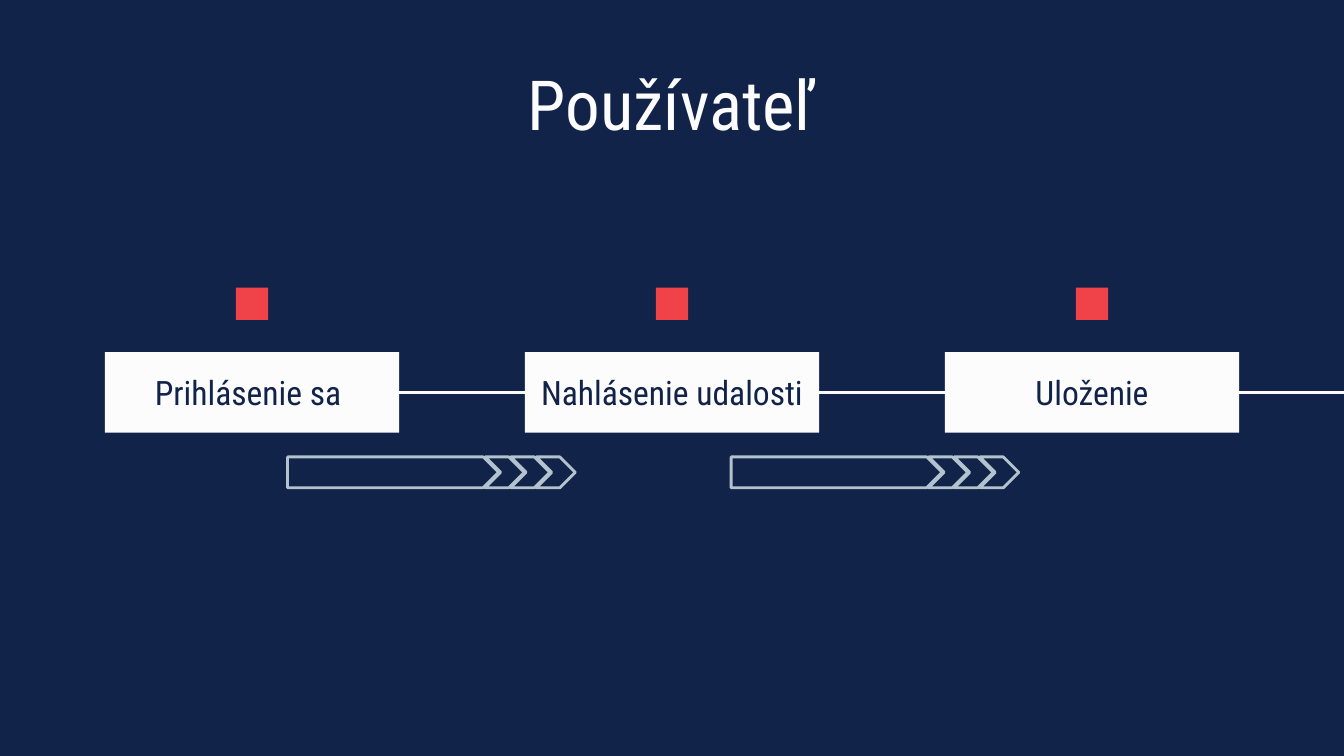
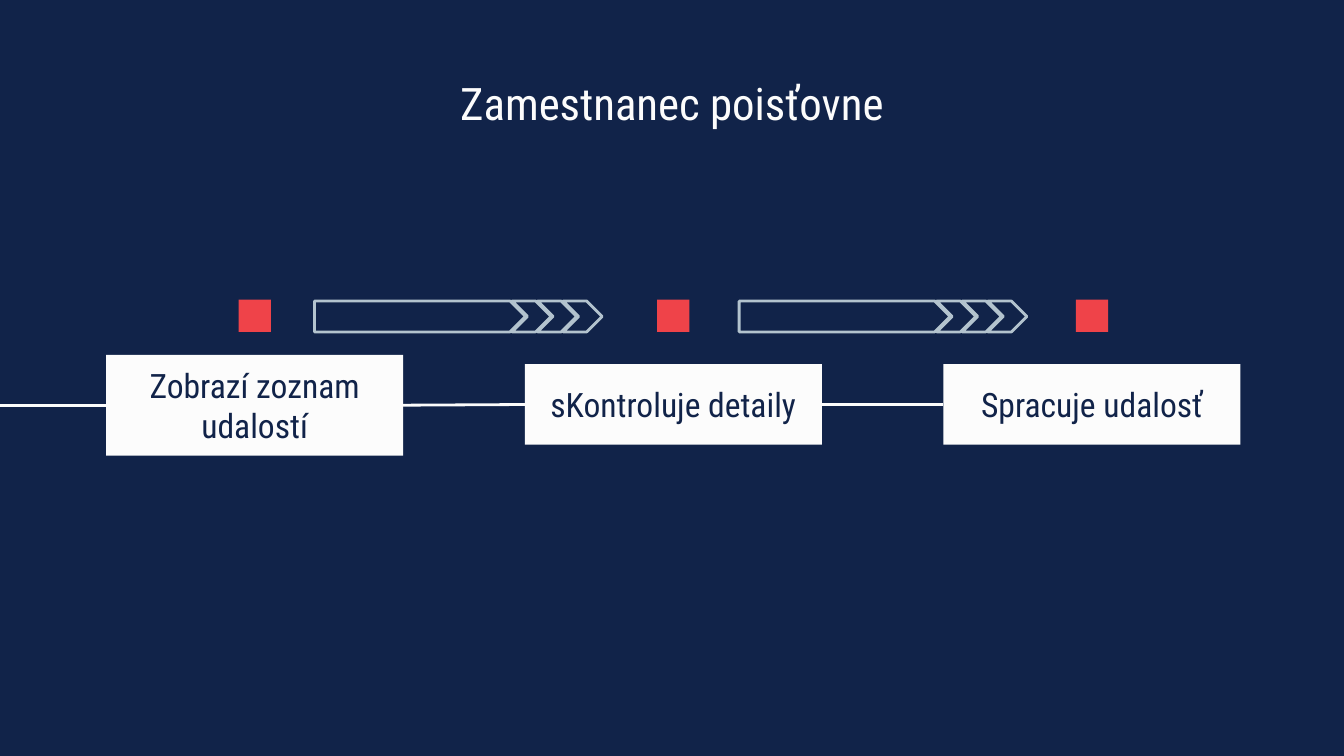
from dataclasses import dataclass

from lxml import etree
from pptx import Presentation
from pptx import util as u
from pptx.dml.color import RGBColor
from pptx.enum import shapes, text
from pptx.oxml.ns import qn


@dataclass(frozen=True)
class Theme:
    navy: RGBColor = RGBColor.from_string("112349")
    white: RGBColor = RGBColor.from_string("FCFCFC")
    red: RGBColor = RGBColor.from_string("EF4349")
    grey: RGBColor = RGBColor.from_string("B3C3CE")
    font: str = "Roboto Condensed"
    head: int = 37
    sub: int = 24
    body: int = 18
    line: float = 1.5


@dataclass(frozen=True)
class Step:
    label: str
    top: float
    height: float


@dataclass(frozen=True)
class Flow:
    title: str
    size: int
    title_top: float
    left: float
    last: float
    width: float
    mark_top: float
    steps: tuple[Step, ...]
    arrows: tuple[float, ...]
    arrow_top: float
    edge: float


THEME = Theme()
WIDE = 10
HIGH = WIDE * 9 / 16
MARK = 0.24
SHAPE = shapes.MSO_SHAPE

FLOWS = (
    Flow("Používateľ", THEME.head, 0.36, 0.78, 7.03, 2.19, 2.14,
         (Step("Prihlásenie sa ", 2.62, 0.6),
          Step("Nahlásenie udalosti", 2.62, 0.6),
          Step("Uloženie", 2.62, 0.6)),
         (2.14, 5.44), 3.4, WIDE),
    Flow("Zamestnanec poisťovne", THEME.sub, 0.46, 0.79, 7.02, 2.21, 2.23,
         (Step("Zobrazí zoznam udalostí", 2.64, 0.75),
          Step("sKontroluje detaily", 2.71, 0.6),
          Step("Spracuje udalosť", 2.71, 0.6)),
         (2.34, 5.5), 2.24, 0),
)


def write(shape, words: str, size: int, color: RGBColor, anchor) -> None:
    frame = shape.text_frame
    frame.word_wrap = True
    frame.vertical_anchor = anchor
    frame.margin_left = frame.margin_right = u.Inches(0.1)
    frame.margin_top = frame.margin_bottom = u.Inches(0.1)
    para = frame.paragraphs[0]
    para.alignment = text.PP_ALIGN.CENTER
    run = para.add_run()
    run.text = words
    run.font.name = THEME.font
    run.font.size = u.Pt(size)
    run.font.color.rgb = color


def draw(tree, kind, left: float, top: float, width: float, height: float,
         fill: RGBColor | None = None):
    shape = tree.add_shape(kind, u.Inches(left), u.Inches(top),
                           u.Inches(width), u.Inches(height))
    shape.shadow.inherit = False
    if fill is None:
        shape.fill.background()
        shape.line.color.rgb = THEME.grey
        shape.line.width = u.Pt(THEME.line)
    else:
        shape.fill.solid()
        shape.fill.fore_color.rgb = fill
        shape.line.fill.background()
    return shape


def link(slide, start, site: int, end=None, edge: float = 0) -> None:
    level = start.top + start.height // 2
    line = slide.shapes.add_connector(
        shapes.MSO_CONNECTOR.STRAIGHT, start.left, level, u.Inches(edge), level)
    line.begin_connect(start, site)
    if end is not None:
        line.end_connect(end, 1)
    line.line.color.rgb = THEME.white
    line.line.width = u.Pt(THEME.line)
    etree.SubElement(line._element.spPr, qn("a:effectLst"))


def arrow(slide, left: float, top: float) -> None:
    group = slide.shapes.add_group_shape().shapes
    draw(group, SHAPE.PENTAGON, left, top, 1.57, 0.23)
    for place in range(3):
        draw(group, SHAPE.CHEVRON, left + 1.47 + 0.19 * place, top, 0.29, 0.23)


def build(deck, flow: Flow) -> None:
    slide = deck.slides.add_slide(deck.slide_layouts[6])
    slide.background.fill.solid()
    slide.background.fill.fore_color.rgb = THEME.navy
    title = slide.shapes.add_textbox(u.Inches(1.5), u.Inches(flow.title_top),
                                     u.Inches(7), u.Inches(0.63))
    write(title, flow.title, flow.size, THEME.white, text.MSO_ANCHOR.TOP)

    pitch = (flow.last - flow.left) / (len(flow.steps) - 1)
    boxes = []
    for place, step in enumerate(flow.steps):
        left = flow.left + place * pitch
        box = draw(slide.shapes, SHAPE.RECTANGLE, left, step.top,
                   flow.width, step.height, THEME.white)
        write(box, step.label, THEME.body, THEME.navy, text.MSO_ANCHOR.MIDDLE)
        boxes.append(box)
        draw(slide.shapes, SHAPE.RECTANGLE, left + (flow.width - MARK) / 2,
             flow.mark_top, MARK, MARK, THEME.red)

    for start, end in zip(boxes, boxes[1:]):
        link(slide, start, 3, end)
    if flow.edge:
        link(slide, boxes[-1], 3, edge=flow.edge)
    else:
        link(slide, boxes[0], 1, edge=flow.edge)
    for left in flow.arrows:
        arrow(slide, left, flow.arrow_top)


def main() -> None:
    deck = Presentation()
    deck.slide_width = u.Inches(WIDE)
    deck.slide_height = u.Inches(HIGH)
    for flow in FLOWS:
        build(deck, flow)
    deck.save("out.pptx")


if __name__ == "__main__":
    main()
